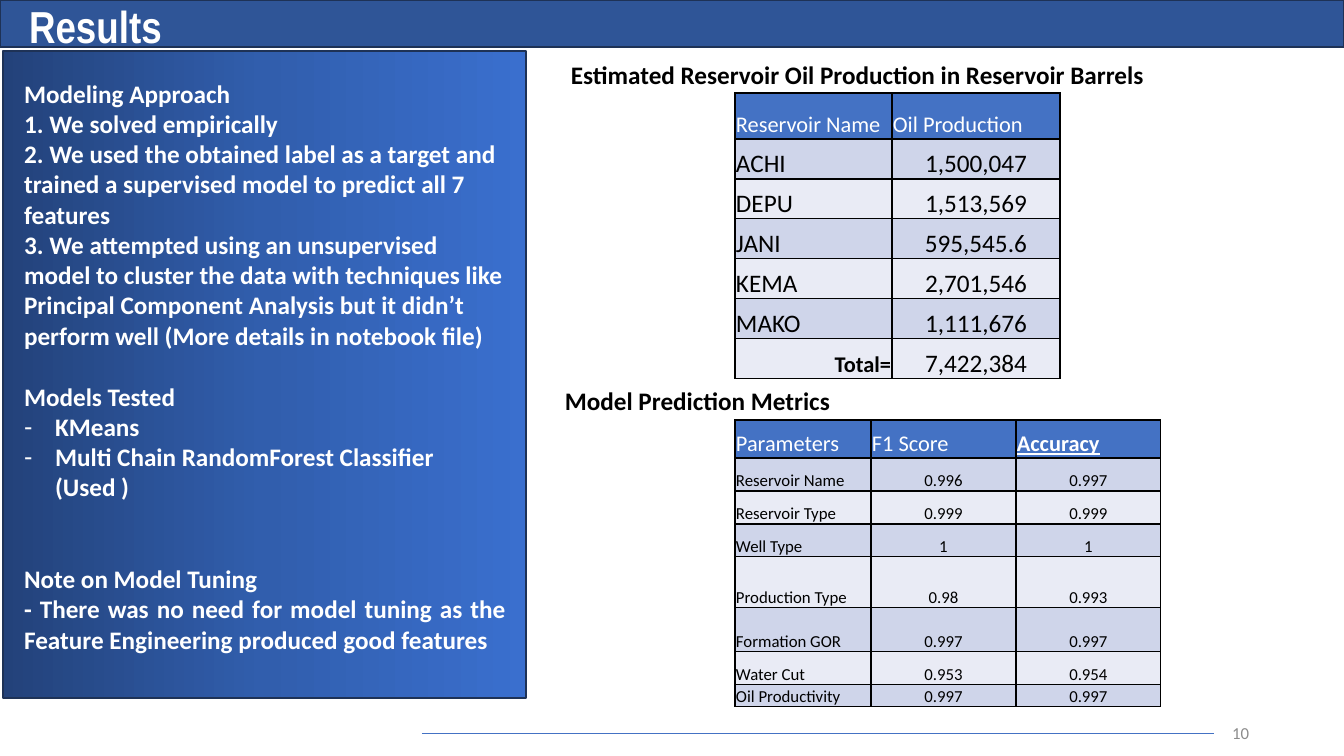
from lxml import etree
from pptx import Presentation
from pptx.dml.color import RGBColor
from pptx.enum.shapes import MSO_CONNECTOR, MSO_SHAPE
from pptx.enum.text import MSO_ANCHOR, MSO_AUTO_SIZE, PP_ALIGN
from pptx.oxml.ns import qn
from pptx.util import Pt

LEFT, CENTER, RIGHT, JUSTIFY = PP_ALIGN.LEFT, PP_ALIGN.CENTER, PP_ALIGN.RIGHT, PP_ALIGN.JUSTIFY
TOP, MIDDLE, BOTTOM = MSO_ANCHOR.TOP, MSO_ANCHOR.MIDDLE, MSO_ANCHOR.BOTTOM
NO_AUTOFIT = MSO_AUTO_SIZE.NONE
RECTANGLE, STRAIGHT = MSO_SHAPE.RECTANGLE, MSO_CONNECTOR.STRAIGHT

WHITE = RGBColor(0xFF, 0xFF, 0xFF)
BLACK = RGBColor(0x00, 0x00, 0x00)
GREY = RGBColor(0x8C, 0x8C, 0x8C)
BLUE = RGBColor(0x44, 0x72, 0xC4)
BAR_BLUE = RGBColor(0x2F, 0x55, 0x97)
OUTLINE_BLUE = RGBColor(0x1E, 0x32, 0x56)
ROW_BANDS = (RGBColor(0xCF, 0xD5, 0xEA), RGBColor(0xE9, 0xEB, 0xF5))
PANEL_STOPS = (
    (0, RGBColor(0x23, 0x42, 0x7A)),
    (50, RGBColor(0x31, 0x5E, 0xAD)),
    (100, RGBColor(0x3A, 0x6F, 0xCE)),
)

WIDTH, HEIGHT = 1344, 756
SCALE = 12192000 / WIDTH

# text, space before in points, dashed, alignment
APPROACH = [
    ("Modeling Approach", 0, False, LEFT),
    ("1. We solved empirically", 0, False, LEFT),
    ("2. We used the obtained label as a target and trained a supervised model "
     "to predict all 7 features", 0, False, LEFT),
    ("3. We attempted using an unsupervised model to cluster the data with techniques like "
     "Principal Component Analysis but it didn’t perform well "
     "(More details in notebook file)", 0, False, LEFT),
    ("Models Tested", 22, False, LEFT),
    ("KMeans", 0, True, LEFT),
    ("Multi Chain RandomForest Classifier (Used )", 0, True, LEFT),
    ("Note on Model Tuning", 44, False, LEFT),
    ("- There was no need for model tuning as the Feature Engineering produced good features",
     0, False, JUSTIFY),
]

PRODUCTION = [
    ("Reservoir Name", "Oil Production"),
    ("ACHI", "1,500,047"),
    ("DEPU", "1,513,569"),
    ("JANI", "595,545.6"),
    ("KEMA", "2,701,546"),
    ("MAKO", "1,111,676"),
    ("Total=", "7,422,384"),
]

METRICS = [
    ("Parameters", "F1 Score", "Accuracy"),
    ("Reservoir Name", "0.996", "0.997"),
    ("Reservoir Type", "0.999", "0.999"),
    ("Well Type", "1", "1"),
    ("Production Type", "0.98", "0.993"),
    ("Formation GOR", "0.997", "0.997"),
    ("Water Cut", "0.953", "0.954"),
    ("Oil Productivity", "0.997", "0.997"),
]


def px(length):
    return round(length * SCALE)


class ResultsSlide:
    def __init__(self, slide, font="Calibri"):
        self.slide = slide
        self.shapes = slide.shapes
        self.font = font

    def style(self, paragraph, size, color, bold=False, align=LEFT, font=None):
        paragraph.alignment = align
        for run in paragraph.runs:
            run.font.name = font or self.font
            run.font.size = Pt(size)
            run.font.bold = bold
            run.font.color.rgb = color

    def place(self, placeholder, left, top, width, height):
        """Move a placeholder into position and in front of everything drawn so far."""
        placeholder.left, placeholder.top = px(left), px(top)
        placeholder.width, placeholder.height = px(width), px(height)
        frame = placeholder.text_frame
        frame.word_wrap, frame.auto_size = True, NO_AUTOFIT
        frame.vertical_anchor = TOP
        placeholder.element.getparent().append(placeholder.element)
        return frame

    def title(self, text, *box):
        frame = self.place(self.shapes.title, *box)
        frame.text = text
        self.style(frame.paragraphs[0], 32, WHITE, bold=True, font="Arial Narrow")

    def body(self, items, *box):
        frame = self.place(self.slide.placeholders[1], *box)
        frame.text = "\n".join(item[0] for item in items)
        for paragraph, (_, gap, dashed, align) in zip(frame.paragraphs, items):
            self.style(paragraph, 18, WHITE, bold=True, align=align)
            paragraph.space_before = Pt(gap)
            properties = paragraph._p.get_or_add_pPr()
            indent = px(31) if dashed else 0
            properties.set("marL", str(indent))
            properties.set("indent", str(-indent))
            if dashed:
                etree.SubElement(properties, qn("a:buChar")).set("char", "-")
            else:
                etree.SubElement(properties, qn("a:buNone"))

    def label(self, text, left, top, width, height, size=18, color=BLACK,
              bold=True, align=LEFT, anchor=TOP):
        frame = self.shapes.add_textbox(px(left), px(top), px(width), px(height)).text_frame
        frame.word_wrap = True
        frame.vertical_anchor = anchor
        frame.text = text
        self.style(frame.paragraphs[0], size, color, bold, align)

    def panel(self, left, top, width, height, color=None, stops=()):
        panel = self.shapes.add_shape(RECTANGLE, px(left), px(top), px(width), px(height))
        panel.shadow.inherit = False
        panel.line.color.rgb = OUTLINE_BLUE
        panel.line.width = Pt(1)
        if not stops:
            panel.fill.solid()
            panel.fill.fore_color.rgb = color
            return
        panel.fill.gradient()
        panel.fill.gradient_angle = 0
        stop_list = panel.element.spPr.find(".//" + qn("a:gsLst"))
        stop_list[:] = []
        for percent, stop_color in stops:
            stop = etree.SubElement(stop_list, qn("a:gs"), pos=str(percent * 1000))
            etree.SubElement(stop, qn("a:srgbClr"), val=str(stop_color))

    def rule(self, x1, y1, x2, y2):
        line = self.shapes.add_connector(STRAIGHT, px(x1), px(y1), px(x2), px(y2))
        line.line.color.rgb = BLUE
        line.line.width = Pt(0.5)
        etree.SubElement(line.element.spPr, qn("a:effectLst"))

    def border(self, cell):
        properties = cell._tc.get_or_add_tcPr()
        for position, side in enumerate(("a:lnL", "a:lnR", "a:lnT", "a:lnB")):
            edge = etree.Element(qn(side), w=str(Pt(1)))
            fill = etree.SubElement(edge, qn("a:solidFill"))
            etree.SubElement(fill, qn("a:srgbClr"), val=str(BLACK))
            properties.insert(position, edge)

    def table(self, rows, left, top, widths, heights, size):
        """Add a banded table and return it for cell-level emphasis."""
        table = self.shapes.add_table(len(rows), len(widths), px(left), px(top),
                                      px(sum(widths)), px(sum(heights))).table
        for column, width in zip(table.columns, widths):
            column.width = px(width)
        for r, (values, height) in enumerate(zip(rows, heights)):
            table.rows[r].height = px(height)
            for c, value in enumerate(values):
                cell = table.cell(r, c)
                cell.margin_left = cell.margin_right = cell.margin_top = px(1)
                cell.margin_bottom = 0
                cell.vertical_anchor = BOTTOM
                cell.fill.solid()
                cell.fill.fore_color.rgb = ROW_BANDS[(r - 1) % 2] if r else BLUE
                self.border(cell)
                cell.text = value
                self.style(cell.text_frame.paragraphs[0], size if r else 16,
                           BLACK if r else WHITE, align=CENTER if r and c else LEFT)
        return table


def main():
    deck = Presentation()
    deck.slide_width, deck.slide_height = px(WIDTH), px(HEIGHT)
    results = ResultsSlide(deck.slides.add_slide(deck.slide_layouts[1]))

    results.label("10", 957, 713, 302, 40, 12, GREY, bold=False, align=RIGHT, anchor=MIDDLE)
    results.rule(422, 733, 1214, 733)
    results.panel(0, 0, WIDTH, 47, BAR_BLUE)
    results.title("Results", 19, -6, 206, 64)

    results.panel(3, 51, 523, 647, stops=PANEL_STOPS)
    results.body(APPROACH, 14, 73, 502, 621)

    results.label("Estimated Reservoir Oil Production in Reservoir Barrels", 561, 54, 603, 40)
    production = results.table(PRODUCTION, 735, 93, (157, 168), [46] + [40] * 6, 18)
    total = production.cell(6, 0).text_frame.paragraphs[0]
    results.style(total, 16, BLACK, bold=True, align=RIGHT)

    results.label("Model Prediction Metrics", 555, 380, 426, 40)
    metrics = results.table(METRICS, 735, 420, (136, 145, 145),
                            (38, 33, 33, 33, 51, 44, 33, 22), 12)
    accuracy = metrics.cell(0, 2).text_frame.paragraphs[0]
    results.style(accuracy, 16, WHITE, bold=True)
    accuracy.runs[0].font.underline = True

    deck.save("out.pptx")


if __name__ == "__main__":
    main()
